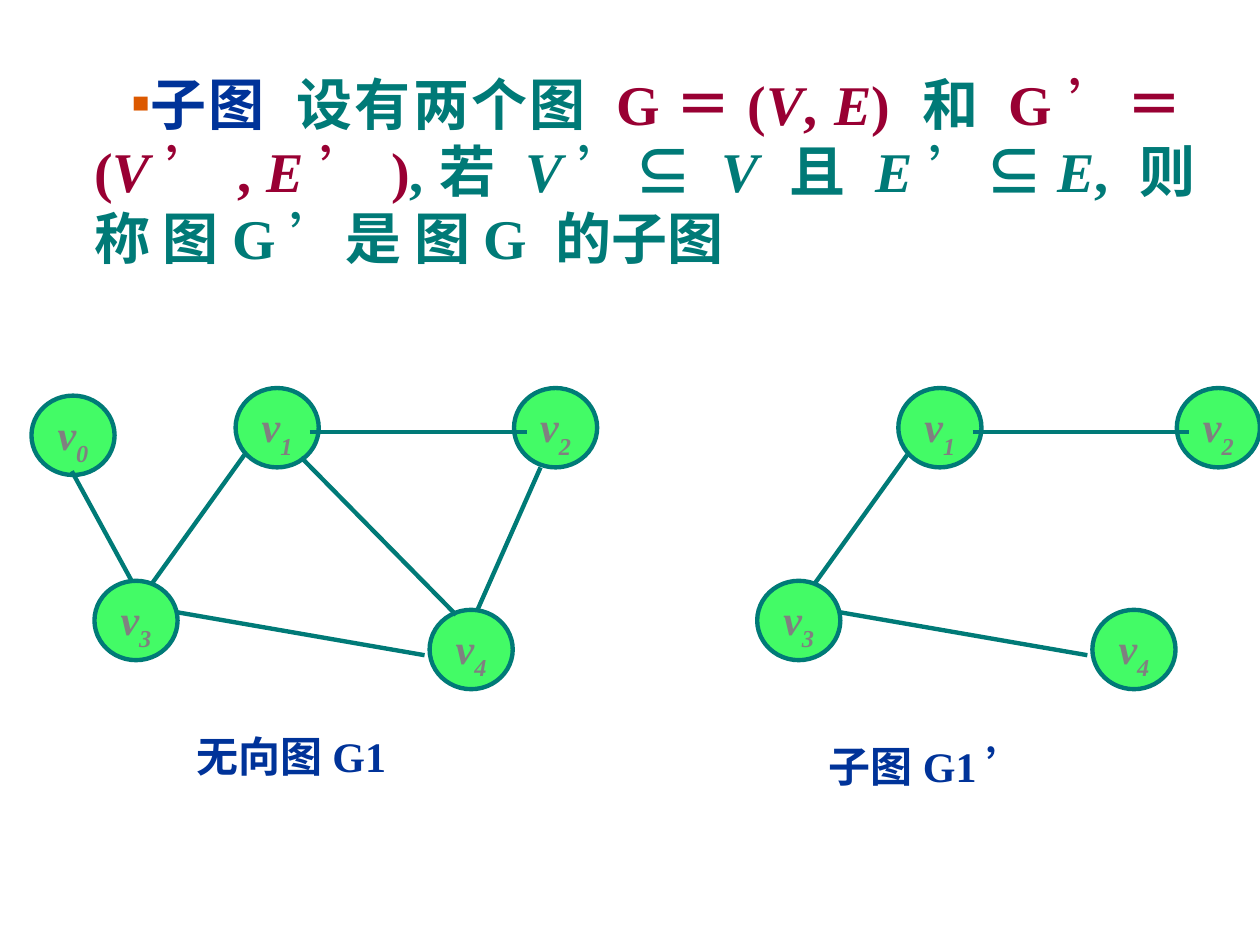
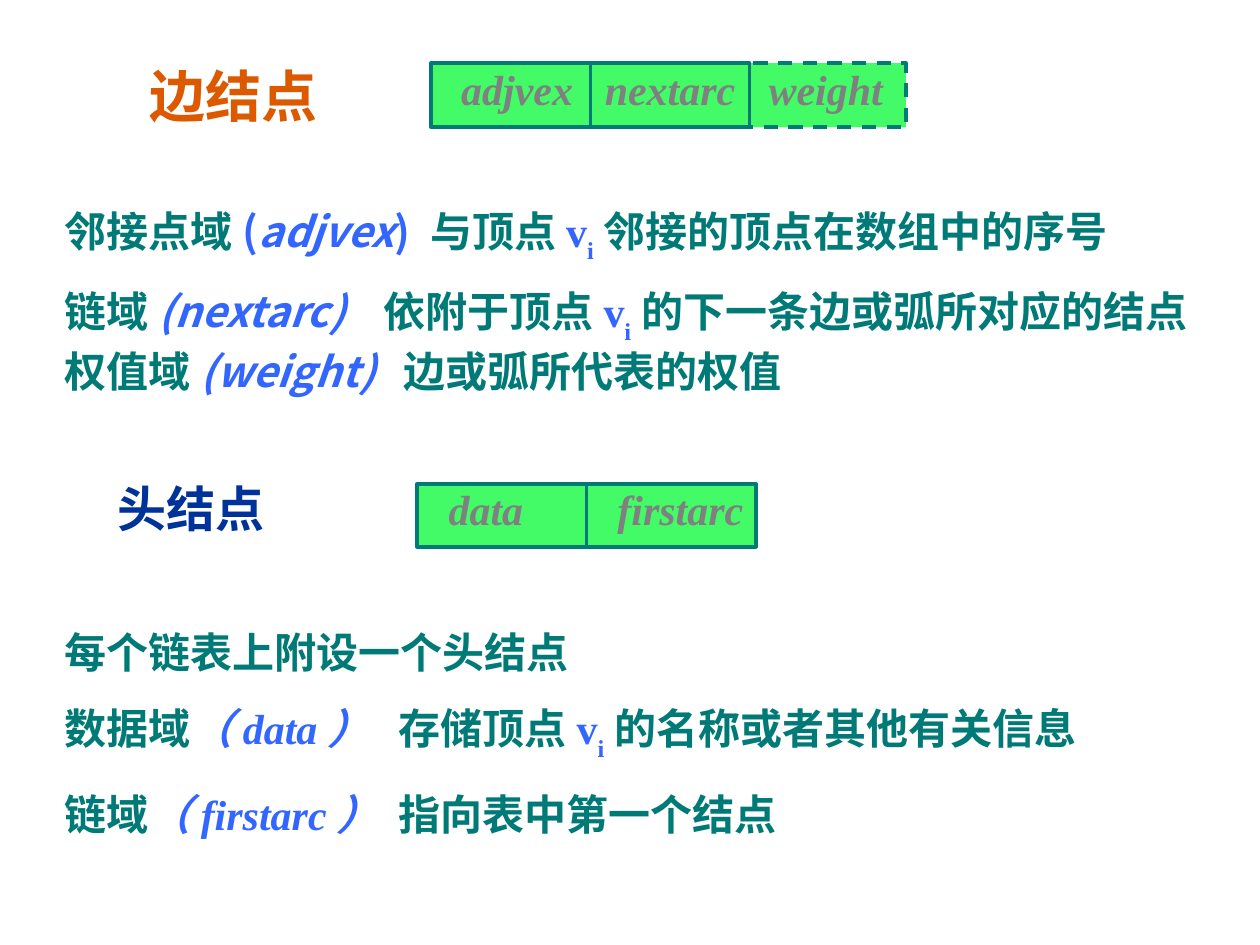
from lxml.etree import SubElement
from pptx import Presentation
from pptx.dml.color import RGBColor
from pptx.enum.dml import MSO_LINE
from pptx.enum.lang import MSO_LANGUAGE_ID
from pptx.enum.shapes import MSO_CONNECTOR, MSO_SHAPE
from pptx.enum.text import MSO_ANCHOR, PP_ALIGN
from pptx.oxml.ns import qn
from pptx.util import Inches, Pt

INK = {
    "teal": "007A77", "navy": "003399", "red": "990033", "rust": "DC5900",
    "blue": "3366FF", "gray": "808080", "green": "43FB66",
}
FACES = {"serif": "Times New Roman", "cjk": "Noto Sans CJK SC", "sans": "Arial"}
COLS, ROWS = 100, 75
WIDE, HIGH = Inches(10), Inches(7.5)

SPOTS = {0: (3.3, 3.75), 1: (19.5, 3.15), 2: (41.6, 3.15),
         3: (8.3, 18.45), 4: (34.9, 20.75)}
EDGES = {
    (0, 3): ((3.2, 6.6), (8, 15.4)),
    (1, 3): ((16.9, 5.3), (9.5, 15.6)),
    (1, 4): ((21.4, 5.5), (33.7, 18)),
    (3, 4): ((11.6, 17.8), (31.2, 21.2)),
    (1, 2): ((22.1, 3.5), (39.3, 3.5)),
    (2, 4): ((40.4, 6.3), (35.4, 17.6)),
}


def col(n):
    return round(WIDE * n / COLS)


def row(n):
    return round(HIGH * n / ROWS)


def grid(box):
    x, y, w, h = box
    return col(x), row(y), col(w), row(h)


def ink(name):
    return RGBColor.from_string(INK[name])


def write(para, runs, size, face):
    for text, style in runs:
        marks = style.split()
        run = para.add_run()
        run.text = text
        font = run.font
        font.size = Pt(size)
        font.bold = "thin" not in marks
        font.italic = "i" in marks
        font.color.rgb = ink(marks[0])
        font.language_id = MSO_LANGUAGE_ID.SIMPLIFIED_CHINESE
        font.name = FACES[next((m for m in marks if m in FACES), face)]
        props = run._r.get_or_add_rPr()
        SubElement(props, qn("a:ea"), typeface=FACES["cjk"])
        if "sub" in marks:
            props.set("baseline", "-30000")
        if "gap" in marks:
            props.set("spc", "800")


def stops(para, *cols):
    tabs = SubElement(para._p.get_or_add_pPr(), qn("a:tabLst"))
    for c in cols:
        SubElement(tabs, qn("a:tab"), pos=str(col(c)), algn="l")


def bullet(para, char, color, left, dent):
    props = para._p.get_or_add_pPr()
    props.set("marL", str(col(left)))
    props.set("indent", str(col(dent)))
    SubElement(SubElement(props, qn("a:buClr")), qn("a:srgbClr"), val=INK[color])
    SubElement(props, qn("a:buFont"), typeface=FACES["serif"])
    SubElement(props, qn("a:buChar"), char=char)


def label(slide, box, runs, size, face="serif"):
    frame = slide.shapes.add_textbox(*grid(box)).text_frame
    frame.word_wrap = True
    write(frame.paragraphs[0], runs, size, face)
    return frame.paragraphs[0]


def line(slide, start, end, width):
    link = slide.shapes.add_connector(
        MSO_CONNECTOR.STRAIGHT, col(start[0]), row(start[1]), col(end[0]), row(end[1]))
    link.line.color.rgb = ink("teal")
    link.line.width = Pt(width)
    SubElement(link._element.spPr, qn("a:effectLst"))
    return link


def solid(slide, kind, box, width):
    shape = slide.shapes.add_shape(kind, *grid(box))
    shape.shadow.inherit = False
    shape.fill.solid()
    shape.fill.fore_color.rgb = ink("green")
    shape.line.color.rgb = ink("teal")
    shape.line.width = Pt(width)
    frame = shape.text_frame
    frame.margin_left = frame.margin_right = 0
    frame.margin_top = frame.margin_bottom = 0
    frame.vertical_anchor = MSO_ANCHOR.MIDDLE
    return shape


def graph(slide, box, nodes, edges, title, drop):
    left, top, wide, high = box
    for n in nodes:
        x, y = SPOTS[n]
        disc = solid(slide, MSO_SHAPE.OVAL,
                     (left + x - 3.3, top + y - 3.15, 6.6, 6.3), 2.5)
        disc.text_frame.margin_top = row(0.4)
        para = disc.text_frame.paragraphs[0]
        para.alignment = PP_ALIGN.CENTER
        write(para, [("v", "gray i"), (str(n), "gray i sub")], 24, "serif")
    for start, end in (EDGES[pair] for pair in edges):
        line(slide, (left + start[0], top + start[1]),
             (left + end[0], top + end[1]), 2.5)
    label(slide, (left + drop, top + high - 5, wide / 2, 5), title, 24)


def cells(slide, box, text, dent, stop=None, dash=False):
    left, top, wide, high = box
    bar = solid(slide, MSO_SHAPE.RECTANGLE, box, 2)
    bar.text_frame.margin_left = col(dent)
    bar.text_frame.margin_bottom = row(1)
    para = bar.text_frame.paragraphs[0]
    para.alignment = PP_ALIGN.LEFT
    if dash:
        bar.line.dash_style = MSO_LINE.DASH
    if stop:
        stops(para, stop - dent)
        mid = left + wide / 2
        link = line(slide, (mid, top), (mid, top + high), 2)
        link.begin_connect(bar, 0)
        link.end_connect(bar, 2)
    write(para, [(text, "gray i")], 24, "serif")


def notes(slide, box, rows, gap):
    frame = slide.shapes.add_textbox(*grid(box)).text_frame
    frame.word_wrap = True
    for n, (runs, stop, apart) in enumerate(rows):
        para = frame.paragraphs[0] if n == 0 else frame.add_paragraph()
        para.space_before = Pt(gap if n and apart else 0)
        if stop:
            stops(para, stop)
        write(para, runs, 24, "cjk")


def subgraph(slide):
    runs = [
        ("子图", "navy"), (" ", "teal gap"), ("设有两个图 ", "teal"),
        ("G＝(", "red"), ("V", "red i"),
        (", ", "red"), ("E", "red i"), (") ", "red"), ("和 ", "teal"), ("G", "red"),
        ("’", "red thin cjk"), ("＝(", "red"), ("V", "red i"), ("’", "red thin cjk"),
        (", ", "red"), ("E", "red i"), ("’", "red thin cjk"), (")", "red"),
        (",若 ", "teal"), ("V", "teal i"), ("’", "teal thin cjk"), ("⊆ ", "teal sans"),
        ("V ", "teal i"), ("且 ", "teal"), ("E", "teal i"), ("’", "teal thin cjk"),
        ("⊆", "teal sans"), ("E", "teal i"), (", 则称 图G", "teal"),
        ("’", "teal thin cjk"), ("是 图G 的子图", "teal"),
    ]
    para = label(slide, (4.2, 5, 91.7, 22.4), runs, 32)
    para.alignment = PP_ALIGN.JUSTIFY
    bullet(para, "▪", "rust", 2.3, 2.9)
    graph(slide, (2.5, 30.8, 44.9, 31.7), range(5), EDGES,
          [("无向图G1", "navy")], 12.1)
    graph(slide, (55.1, 30.8, 44.9, 32.5), range(1, 5), [(1, 3), (3, 4), (1, 2)],
          [("子图G1", "navy"), ("’", "navy cjk")], 9.7)


def records(slide):
    vertex = [("v", "blue serif"), ("i", "blue serif sub")]
    cells(slide, (59.4, 5, 12.5, 5.1), "weight", 1.6, dash=True)
    cells(slide, (34.2, 5, 25.3, 5.1), "adjvex\tnextarc", 2.4, 13.8)
    label(slide, (10.9, 4.4, 20, 6.4), [("边结点", "rust")], 32, "cjk")
    label(slide, (8.35, 37.5, 16.7, 5.7), [("头结点", "navy")], 28, "cjk")
    cells(slide, (33.1, 38.4, 26.9, 5), "data\tfirstarc", 2.5, 15.9)
    notes(slide, (4.15, 49.2, 95.8, 17.9), [
        ([("每个链表上附设一个头结点", "teal")], None, True),
        ([("数据域", "teal"), ("（data）", "blue i serif"), ("\t存储顶点", "teal"),
          *vertex, ("的名称或者其他有关信息", "teal")], 26.5, True),
        ([("链域", "teal"), ("（firstarc）", "blue i serif"),
          ("\t指向表中第一个结点", "teal")], 26.5, True),
    ], 15)
    notes(slide, (4.15, 15.8, 92.5, 16.1), [
        ([("邻接点域", "teal"), ("(", "blue"), ("adjvex", "blue i"), (") ", "blue"),
          ("与顶点", "teal"), *vertex, ("邻接的顶点在数组中的序号", "teal")], None, True),
        ([("链域", "teal"), ("(nextarc)", "blue i"), ("\t依附于顶点", "teal"),
          *vertex, ("的下一条边或弧所对应的结点", "teal")], 25.3, True),
        ([("权值域", "teal"), ("(weight)", "blue i"),
          ("\t边或弧所代表的权值", "teal")], 26.9, False),
    ], 12)


def main():
    deck = Presentation()
    deck.slide_width, deck.slide_height = WIDE, HIGH
    for fill in (subgraph, records):
        fill(deck.slides.add_slide(deck.slide_layouts[6]))
    deck.save("out.pptx")


if __name__ == "__main__":
    main()
